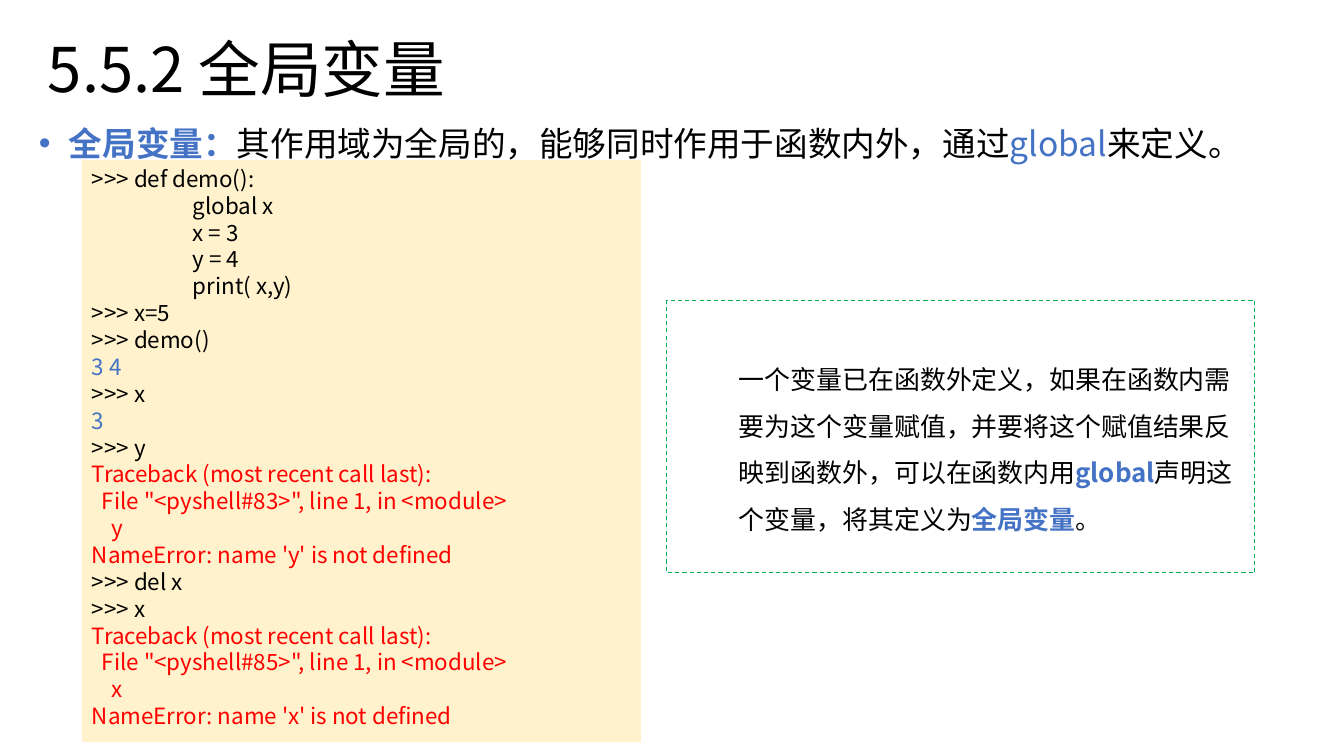
from lxml.etree import SubElement
from pptx import Presentation
from pptx.dml.color import RGBColor as RGB
from pptx.enum.dml import MSO_LINE_DASH_STYLE as Dash
from pptx.enum.shapes import MSO_SHAPE as Shape
from pptx.enum.text import MSO_ANCHOR as Anchor, PP_ALIGN as Align
from pptx.oxml.ns import qn
from pptx.util import Emu, Pt

PX = 914400 / 100.8
FONT = "Noto Sans CJK SC"
COLORS = {
    "black": "000000",
    "blue": "4472C4",
    "red": "FF0000",
    "cream": "FFF2CC",
    "green": "00B050",
}


def px(count):
    return Emu(round(count * PX))


def add_text(para, text, size=16, color="black", bold=False):
    span = para.add_run()
    span.text = text
    span.font.size = Pt(size)
    span.font.bold = bold
    span.font.name = FONT
    span.font.color.rgb = RGB.from_string(COLORS[color])
    SubElement(span.font._element, qn("a:ea"), typeface=FONT)


deck = Presentation()
deck.slide_width, deck.slide_height = px(1344), px(756)
page = deck.slides.add_slide(deck.slide_layouts[6])

title = page.shapes.add_textbox(px(38), 0, px(1159), px(146))
title.text_frame.word_wrap = True
title.text_frame.vertical_anchor = Anchor.MIDDLE
para = title.text_frame.paragraphs[0]
para.line_spacing = 0.9
add_text(para, "5.5.2 全局变量", size=44)

summary = page.shapes.add_textbox(px(27), px(118), px(1280), px(111))
frame = summary.text_frame
frame.word_wrap = True
frame.margin_left = frame.margin_right = px(12)
frame.margin_top = frame.margin_bottom = px(6)
para = frame.paragraphs[0]
para.line_spacing = Pt(28)
for text, color, bold in [
    ("全局变量：", "blue", True),
    ("其作用域为全局的，能够同时作用于函数内外，通过", "black", False),
    ("global", "blue", False),
    ("来定义。", "black", False),
]:
    add_text(para, text, size=24, color=color, bold=bold)
props = para._p.get_or_add_pPr()
props.set("marL", str(px(30)))
props.set("indent", str(-px(30)))
SubElement(props, qn("a:buFont"), typeface="Arial")
SubElement(props, qn("a:buChar"), char="•")

code = page.shapes.add_shape(Shape.RECTANGLE, px(82), px(160), px(559), px(582))
code.shadow.inherit = False
code.fill.solid()
code.fill.fore_color.rgb = RGB.from_string(COLORS["cream"])
code.line.fill.background()
frame = code.text_frame
frame.word_wrap = True
frame.vertical_anchor = Anchor.TOP
CODE_LINES = [
    (0, "black", ">>> def demo():"),
    (101, "black", "global x"),
    (101, "black", "x = 3"),
    (101, "black", "y = 4"),
    (101, "black", "print( x,y)"),
    (0, "black", ">>> x=5"),
    (0, "black", ">>> demo()"),
    (0, "blue", "3 4"),
    (0, "black", ">>> x"),
    (0, "blue", "3"),
    (0, "black", ">>> y"),
    (0, "red", "Traceback (most recent call last):"),
    (10, "red", 'File "<pyshell#83>", line 1, in <module>'),
    (20, "red", "y"),
    (0, "red", "NameError: name 'y' is not defined"),
    (0, "black", ">>> del x"),
    (0, "black", ">>> x"),
    (0, "red", "Traceback (most recent call last):"),
    (10, "red", 'File "<pyshell#85>", line 1, in <module>'),
    (20, "red", "x"),
    (0, "red", "NameError: name 'x' is not defined"),
]
for number, (indent, color, text) in enumerate(CODE_LINES):
    para = frame.add_paragraph() if number else frame.paragraphs[0]
    para.alignment = Align.LEFT
    para.line_spacing = Pt(19.2)
    para._p.get_or_add_pPr().set("marL", str(px(indent)))
    add_text(para, text, color=color)

note = page.shapes.add_shape(Shape.RECTANGLE, px(667), px(300), px(588), px(273))
note.shadow.inherit = False
note.fill.background()
note.line.color.rgb = RGB.from_string(COLORS["green"])
note.line.width = Pt(0.75)
note.line.dash_style = Dash.DASH
frame = note.text_frame
frame.word_wrap = True
frame.vertical_anchor = Anchor.TOP
frame.margin_left, frame.margin_right = px(72), px(12)
frame.margin_top, frame.margin_bottom = px(48), px(6)
para = frame.paragraphs[0]
para.alignment = Align.LEFT
para.line_spacing = Pt(33.3)
for text, color, bold in [
    ("一个变量已在函数外定义，如果在函数内需要为这个变量赋值，"
     "并要将这个赋值结果反映到函数外，可以在函数内用", "black", False),
    ("global", "blue", True),
    ("声明这个变量，将其定义为", "black", False),
    ("全局变量", "blue", True),
    ("。", "black", False),
]:
    add_text(para, text, size=18.5, color=color, bold=bold)

deck.save("out.pptx")
